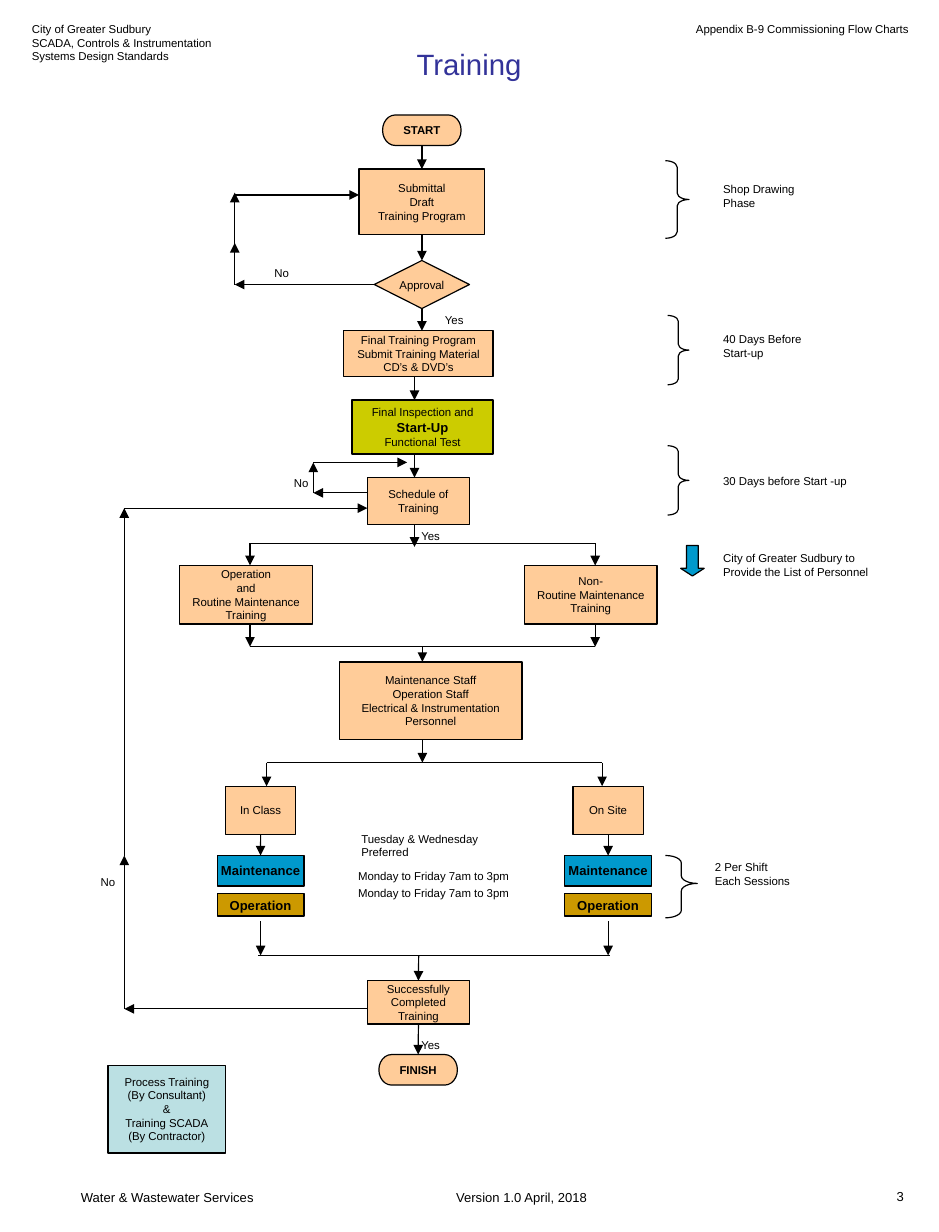
from lxml import etree
from pptx import Presentation
from pptx.dml.color import RGBColor
from pptx.enum.shapes import MSO_CONNECTOR, MSO_SHAPE
from pptx.enum.text import MSO_ANCHOR, PP_ALIGN
from pptx.oxml.ns import qn
from pptx.util import Cm, Pt

STRAIGHT = MSO_CONNECTOR.STRAIGHT
RECT, PROCESS = MSO_SHAPE.RECTANGLE, MSO_SHAPE.FLOWCHART_PROCESS
TERMINATOR, DECISION = MSO_SHAPE.FLOWCHART_TERMINATOR, MSO_SHAPE.FLOWCHART_DECISION
BRACE, DOWN_ARROW = MSO_SHAPE.RIGHT_BRACE, MSO_SHAPE.DOWN_ARROW
TOP, MIDDLE = MSO_ANCHOR.TOP, MSO_ANCHOR.MIDDLE
LEFT, CENTER, RIGHT = PP_ALIGN.LEFT, PP_ALIGN.CENTER, PP_ALIGN.RIGHT
TOP_SIDE, LEFT_SIDE, BOTTOM_SIDE = 0, 1, 2
PEACH, BLUE, GOLD, BLACK = "FFCC99", "0099CC", "CC9900", "000000"


def rgb(color):
    return RGBColor.from_string(color)


def write(shape, text, align, anchor, size=7, bold=False, color=BLACK, wrap=True):
    frame = shape.text_frame
    layout = {"margin_left": 0, "margin_right": 0, "margin_top": 0, "margin_bottom": 0,
              "word_wrap": wrap, "vertical_anchor": anchor}
    for attribute, value in layout.items():
        setattr(frame, attribute, value)
    frame.text = text
    for paragraph in frame.paragraphs:
        paragraph.alignment = align
        for attribute, value in {"name": "Arial", "size": Pt(size), "bold": bold}.items():
            setattr(paragraph.font, attribute, value)
        paragraph.font.color.rgb = rgb(color)


prs = Presentation()
prs.slide_width, prs.slide_height = Cm(20.32), Cm(26.67)
slide = prs.slides.add_slide(prs.slide_layouts[6])
shapes = slide.shapes

# Steps: key, preset, left, top, width, height, fill, text, size, bold
step_rows = [
    ("start", TERMINATOR, 8.28, 2.49, 1.7, 0.66, PEACH, "START", 7, True),
    ("submittal", RECT, 7.77, 3.66, 2.72, 1.42, PEACH,
     "Submittal\nDraft\nTraining Program", 7, False),
    ("approval", DECISION, 8.1, 5.64, 2.06, 1.04, PEACH, "Approval", 7, False),
    ("final program", PROCESS, 7.44, 7.16, 3.23, 0.99, PEACH,
     "Final Training Program\nSubmit Training Material\nCD’s & DVD’s", 7, False),
    ("inspection", PROCESS, 7.62, 8.66, 3.05, 1.17, "CCCC00",
     "Final Inspection and\nStart-Up\nFunctional Test", 7, False),
    ("schedule", PROCESS, 7.95, 10.34, 2.21, 1.02, PEACH, "Schedule of\nTraining", 7, False),
    ("routine", RECT, 3.89, 12.24, 2.87, 1.27, PEACH,
     "Operation\nand\nRoutine Maintenance\nTraining", 7, False),
    ("non-routine", RECT, 11.35, 12.24, 2.87, 1.27, PEACH,
     "Non-\nRoutine Maintenance\nTraining", 7, False),
    ("staff", RECT, 7.34, 14.33, 3.96, 1.68, PEACH,
     "Maintenance Staff\nOperation Staff\nElectrical & Instrumentation\nPersonnel", 7, False),
    ("completed", PROCESS, 7.95, 21.23, 2.21, 0.94, PEACH,
     "Successfully\nCompleted\nTraining", 7, False),
    ("finish", TERMINATOR, 8.2, 22.83, 1.7, 0.66, PEACH, "FINISH", 7, True),
    ("providers", PROCESS, 2.34, 23.06, 2.54, 1.9, "BBE0E3",
     "Process Training\n(By Consultant)\n&\nTraining SCADA\n(By Contractor)", 7, False),
]
for place, center in (("In Class", 5.64), ("On Site", 13.16)):
    step_rows += [
        (place, PROCESS, center - 0.76, 17.02, 1.52, 1.04, PEACH, place, 7, False),
        (place + " maintenance", RECT, center - 0.94, 18.52, 1.88, 0.66, BLUE,
         "Maintenance", 8, True),
        (place + " operation", RECT, center - 0.94, 19.35, 1.88, 0.48, GOLD,
         "Operation", 8, True),
    ]

steps = {}
for key, preset, left, top, width, height, fill, text, size, bold in step_rows:
    step = shapes.add_shape(preset, Cm(left), Cm(top), Cm(width), Cm(height))
    step.shadow.inherit = False
    step.fill.solid()
    step.fill.fore_color.rgb = rgb(fill)
    step.line.color.rgb = rgb(BLACK)
    step.line.width = Pt(0.75)
    write(step, text, CENTER, MIDDLE, size, bold, wrap=False)
    steps[key] = step

start_up = steps["inspection"].text_frame.paragraphs[1]
start_up.font.size, start_up.font.bold = Pt(8), True

# Phase markers: preset, left, top, width, height, adjustments, fill
markers = [
    (BRACE, 14.4, 3.48, 0.51, 1.68, (0.273, 0.5), None),
    (BRACE, 14.45, 6.83, 0.46, 1.5, (0.273, 0.5), None),
    (BRACE, 14.45, 9.65, 0.46, 1.5, (0.273, 0.5), None),
    (BRACE, 14.4, 18.52, 0.69, 1.35, (0.237, 0.448), None),
    (DOWN_ARROW, 14.73, 11.81, 0.51, 0.66, (0.5, 0.324), BLUE),
]
for preset, left, top, width, height, adjustments, fill in markers:
    marker = shapes.add_shape(preset, Cm(left), Cm(top), Cm(width), Cm(height))
    marker.shadow.inherit = False
    for index, value in enumerate(adjustments):
        marker.adjustments[index] = value
    if fill:
        marker.fill.solid()
        marker.fill.fore_color.rgb = rgb(fill)
    else:
        marker.fill.background()
    marker.line.color.rgb = rgb(BLACK)
    marker.line.width = Pt(0.75)

# Flow lines: an end is a point (x, y) or a step with the side it joins
flows = [
    (("start", BOTTOM_SIDE), ("submittal", TOP_SIDE), True),
    (("submittal", BOTTOM_SIDE), ("approval", TOP_SIDE), True),
    (("approval", BOTTOM_SIDE), (9.13, 7.16), True),
    (("approval", LEFT_SIDE), (5.08, 6.16), True),
    ((5.08, 6.16), (5.08, 5.26), True),
    ((5.08, 5.54), (5.08, 4.17), True),
    ((5.08, 4.22), (7.77, 4.22), True),
    ((8.97, 8.15), (8.97, 8.66), True),
    ((8.97, 9.83), (8.97, 10.34), True),
    ((8.97, 11.36), (8.97, 11.84), True),
    ((9.14, 14), (9.14, 14.33), True),
    ((9.14, 16.01), (9.14, 16.51), True),
    ((9.06, 20.68), ("completed", TOP_SIDE), True),
    (("completed", BOTTOM_SIDE), ("finish", TOP_SIDE), True),
    (("In Class", BOTTOM_SIDE), ("In Class maintenance", TOP_SIDE), True),
    (("On Site", BOTTOM_SIDE), ("On Site maintenance", TOP_SIDE), True),
]
for x, branch_x, site_x in ((5.41, 5.77, 5.64), (12.88, 13.03, 13.16)):
    flows += [
        ((x, 11.76), (x, 12.24), True),
        ((x, 13.51), (x, 14), True),
        ((branch_x, 16.51), (branch_x, 17.02), True),
        ((site_x, 19.94), (site_x, 20.68), True),
    ]
for left, right, y in ((5.41, 12.88, 11.76), (5.41, 12.88, 14),
                       (5.77, 13.03, 16.51), (5.59, 13.21, 20.68)):
    flows.append(((left, y), (right, y), False))
return_loops = [
    [(7.95, 10.67), (6.78, 10.67), (6.78, 10.01), (8.81, 10.01)],
    [(7.95, 21.84), (2.69, 21.84), (2.69, 18.52), (2.69, 11), (7.95, 11)],
]
for loop in return_loops:
    flows += [(begin, end, True) for begin, end in zip(loop, loop[1:])]

for begin, end, has_head in flows:
    points = [(0, 0) if end_point[0] in steps else end_point for end_point in (begin, end)]
    (x1, y1), (x2, y2) = points
    flow = shapes.add_connector(STRAIGHT, Cm(x1), Cm(y1), Cm(x2), Cm(y2))
    if begin[0] in steps:
        flow.begin_connect(steps[begin[0]], begin[1])
    if end[0] in steps:
        flow.end_connect(steps[end[0]], end[1])
    flow.line.color.rgb = rgb(BLACK)
    flow.line.width = Pt(0.75)
    if has_head:
        etree.SubElement(flow.line._get_or_add_ln(), qn("a:tailEnd"), type="triangle")
    etree.SubElement(flow._element.spPr, qn("a:effectLst"))

# Labels: left, top, width, text, alignment, size
labels = [
    (9.63, 6.78, 0.8, "Yes", LEFT, 7),
    (9.12, 11.46, 0.8, "Yes", LEFT, 7),
    (9.12, 22.48, 0.8, "Yes", LEFT, 7),
    (5.94, 5.77, 0.8, "No", LEFT, 7),
    (6.36, 10.31, 0.8, "No", LEFT, 7),
    (2.18, 18.95, 0.8, "No", LEFT, 7),
    (7.82, 18.01, 3.45, "Tuesday & Wednesday Preferred", LEFT, 7),
    (7.75, 18.82, 4, "Monday to Friday 7am to 3pm", LEFT, 7),
    (7.75, 19.18, 4, "Monday to Friday 7am to 3pm", LEFT, 7),
    (15.65, 3.94, 2.08, "Shop Drawing Phase", LEFT, 7),
    (15.65, 7.19, 4, "40 Days Before\nStart-up", LEFT, 7),
    (15.65, 10.27, 4, "30 Days before Start -up", LEFT, 7),
    (15.65, 11.94, 4, "City of Greater Sudbury to\nProvide the List of Personnel", LEFT, 7),
    (15.47, 18.62, 4, "2 Per Shift\nEach Sessions", LEFT, 7),
    (0.69, 0.48, 4.11, "City of Greater Sudbury\n"
     "SCADA, Controls & Instrumentation Systems Design Standards", LEFT, 7),
    (13.66, 0.48, 6, "Appendix B-9 Commissioning Flow Charts", RIGHT, 7),
    (1.75, 25.76, 6, "Water & Wastewater Services", LEFT, 8),
    (8.79, 25.76, 5, "Version 1.0 April, 2018", CENTER, 8),
    (17.56, 25.73, 2, "3", RIGHT, 8),
]
for left, top, width, text, align, size in labels:
    height = 0.3 * (text.count("\n") + 1)
    label = shapes.add_textbox(Cm(left), Cm(top), Cm(width), Cm(height))
    write(label, text, align, TOP, size)

title = shapes.add_textbox(Cm(1.12), Cm(0.89), Cm(18.06), Cm(0.97))
write(title, "Training", CENTER, MIDDLE, 18, color="333399")

prs.save("out.pptx")
